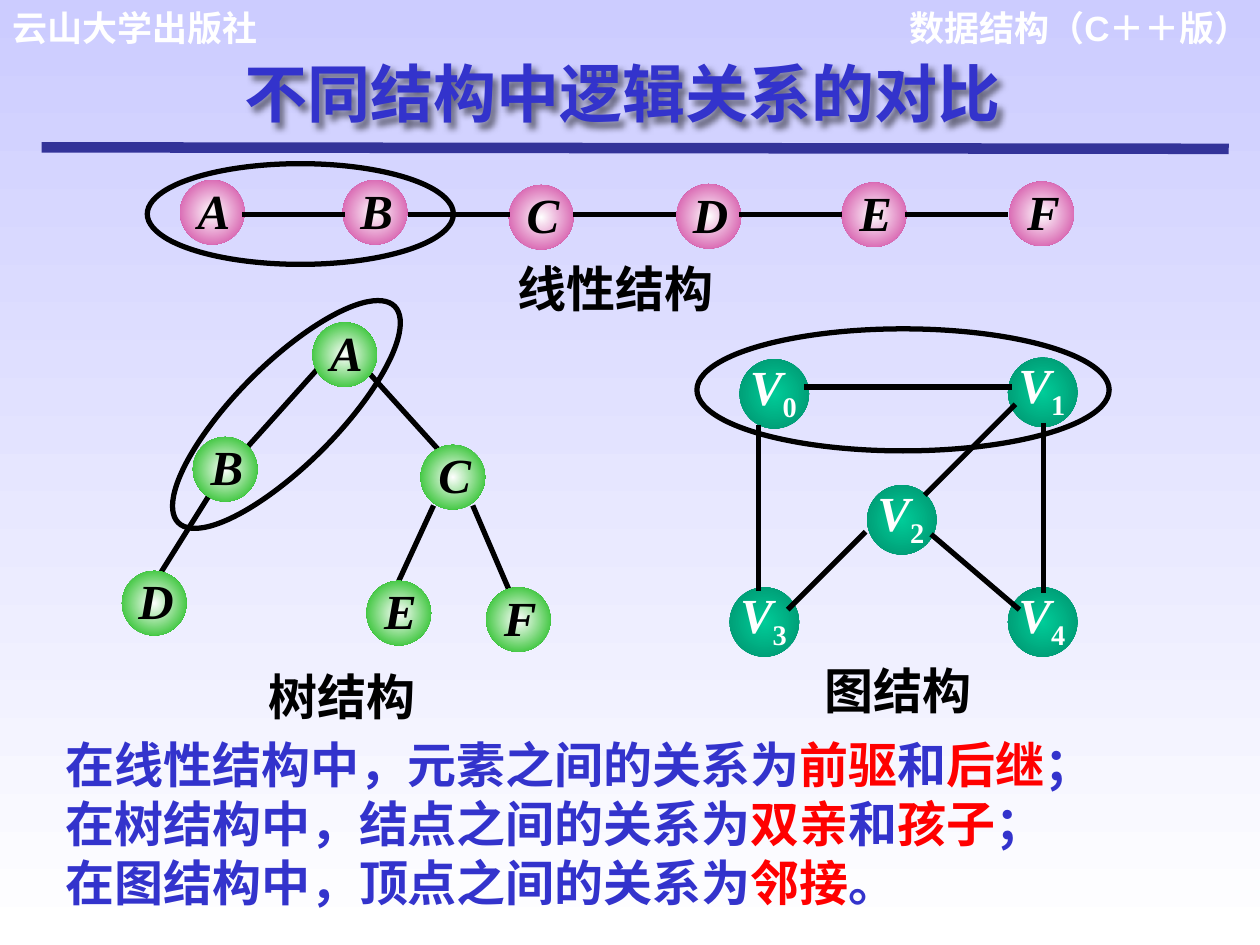
from lxml import etree
from pptx import Presentation
from pptx.dml.color import RGBColor
from pptx.enum import shapes, text
from pptx.oxml import parse_xml
from pptx.oxml import ns
from pptx.util import Cm, Pt

WHITE = RGBColor(0xFF, 0xFF, 0xFF)
BLACK = RGBColor(0, 0, 0)
BLUE = RGBColor(0x33, 0x33, 0xCC)
NAVY = RGBColor(0x33, 0x33, 0x99)
LAVENDER = RGBColor(0xCC, 0xCC, 0xFF)
RED = RGBColor(0xFF, 0, 0)
PINK = RGBColor(0xCC, 0x33, 0x99)
GREEN = RGBColor(0, 0xB4, 0)
TEAL = RGBColor(0, 0xCC, 0x99)
DARK_TEAL = RGBColor(0, 0x8F, 0x6B)
SERIF = "Times New Roman"
ALIGN = text.PP_ALIGN


def write(holder, words, size=28, font="Arial", color=BLACK, italic=False,
          align=ALIGN.LEFT, insets=(0.25, 0.13, 0.25, 0.13), accent=None):
    """Fill holder with one paragraph per line; *starred* parts take the
    accent colour, or become subscripts when there is none."""
    frame = holder.text_frame
    frame.word_wrap = True
    frame.auto_size = text.MSO_AUTO_SIZE.NONE
    frame.vertical_anchor = text.MSO_ANCHOR.TOP
    (frame.margin_left, frame.margin_top,
     frame.margin_right, frame.margin_bottom) = map(Cm, insets)
    for number, line in enumerate(words.split("\n")):
        paragraph = frame.add_paragraph() if number else frame.paragraphs[0]
        paragraph.alignment = align
        paragraph.space_before = Pt(0)
        for index, part in enumerate(line.split("*")):
            if not part:
                continue
            starred = index % 2 == 1
            run = paragraph.add_run()
            run.text = part
            run.font.size = Pt(size)
            run.font.name = font
            run.font.bold = True
            run.font.italic = italic and not starred
            run.font.color.rgb = accent if starred and accent else color
            if starred and not accent:
                run.font._element.set("baseline", "-25000")


def join(x1, y1, x2, y2, color=BLACK, width=3):
    """Draw a straight, shadowless line between two points in cm."""
    edge = slide.shapes.add_connector(
        shapes.MSO_CONNECTOR.STRAIGHT, Cm(x1), Cm(y1), Cm(x2), Cm(y2))
    edge.line.color.rgb = color
    edge.line.width = Pt(width)
    etree.SubElement(edge._element.spPr, ns.qn("a:effectLst"))


prs = Presentation()
prs.slide_width, prs.slide_height = Cm(25.4), Cm(19.05)
slide = prs.slides.add_slide(prs.slide_layouts[1])

backdrop = slide.background.fill
backdrop.gradient()
backdrop.gradient_angle = 270
for stop, color in zip(backdrop.gradient_stops, (LAVENDER, WHITE)):
    stop.color.rgb = color

# Title and summary
title, summary = slide.placeholders
title.left, title.top, title.width, title.height = map(Cm, (4.67, 0.97, 16.64, 1.78))
write(title, "不同结构中逻辑关系的对比", size=36, font=SERIF, color=BLUE)
title._element.spPr.append(parse_xml(
    f'<a:effectLst {ns.nsdecls("a")}><a:outerShdw blurRad="50800" dist="50800" '
    'dir="2700000"><a:srgbClr val="000000"><a:alpha val="50000"/></a:srgbClr>'
    '</a:outerShdw></a:effectLst>'))

summary.left, summary.top, summary.width, summary.height = map(Cm, (1.07, 14.68, 24.33, 3.81))
write(summary, "在线性结构中，元素之间的关系为*前驱*和*后继*；\n"
               "在树结构中，结点之间的关系为*双亲*和*孩子*；\n"
               "在图结构中，顶点之间的关系为*邻接*。", color=BLUE, accent=RED)
for paragraph in summary.text_frame.paragraphs:
    properties = paragraph._p.get_or_add_pPr()
    properties.set("marL", "0")
    properties.set("indent", "0")
    etree.SubElement(properties, ns.qn("a:buNone"))

# Header band and captions
join(0.84, 2.97, 24.77, 3.0, color=NAVY, width=6)
for words, x, y, w, h, style in (
    ("数据结构（C＋＋版）", 17.78, 0, 7.67, 1.09, dict(size=20, color=WHITE, align=ALIGN.RIGHT)),
    ("云山大学出版社", 0, 0, 6.88, 1.09, dict(size=20, color=WHITE)),
    ("线性结构", 8.89, 5.08, 7.04, 1.45, dict(align=ALIGN.CENTER)),
    ("树结构", 3.38, 13.31, 7.04, 1.45, dict(align=ALIGN.CENTER)),
    ("图结构", 15.11, 13.18, 5.99, 1.45, dict(align=ALIGN.CENTER)),
):
    write(slide.shapes.add_textbox(Cm(x), Cm(y), Cm(w), Cm(h)), words, **style)

# Tree edges lie under the nodes
for ends in (
    (6.4, 7.44, 4.98, 9.02), (7.44, 7.52, 8.86, 9.09), (4.22, 9.98, 3.25, 11.53),
    (8.74, 10.19, 8.03, 11.73), (9.53, 10.19, 10.26, 11.89),
):
    join(*ends)

# Nodes: centre colour, rim colour, diameter, label offset and size, label style, places
letter_style = dict(font=SERIF, italic=True, align=ALIGN.CENTER, insets=(0, 0.1, 0, 0))
vertex_style = dict(font=SERIF, italic=True, align=ALIGN.JUSTIFY, color=WHITE,
                    insets=(0.03, 0.08, 0, 0.03))
letter_box = (0.14, -0.1, 1.09, 1.7)
vertex_box = (0.18, -0.14, 1.3, 1.65)
structures = (
    (WHITE, PINK, 1.3, letter_box, letter_style, {
        "A": (3.63, 3.63), "B": (6.91, 3.63), "C": (10.26, 3.73),
        "D": (13.64, 3.71), "E": (16.97, 3.68), "F": (20.35, 3.66)}),
    (WHITE, GREEN, 1.3, letter_box, letter_style, {
        "A": (6.3, 6.5), "B": (3.89, 8.81), "C": (8.48, 8.97),
        "D": (2.46, 11.51), "E": (7.39, 11.71), "F": (9.8, 11.84)}),
    (TEAL, DARK_TEAL, 1.4, vertex_box, vertex_style, {
        "V*0*": (14.91, 7.24), "V*1*": (20.32, 7.21), "V*2*": (17.48, 9.78),
        "V*3*": (14.71, 11.84), "V*4*": (20.32, 11.84)}),
)
for centre, rim, diameter, (dx, dy, w, h), style, nodes in structures:
    for label, (x, y) in nodes.items():
        node = slide.shapes.add_shape(
            shapes.MSO_SHAPE.OVAL, Cm(x), Cm(y), Cm(diameter), Cm(diameter))
        node.shadow.inherit = False
        node.line.fill.background()
        node.fill.gradient()
        for stop, color in zip(node.fill.gradient_stops, (centre, rim)):
            stop.color.rgb = color
        gradient = node._element.spPr.find(ns.qn("a:gradFill"))
        gradient.replace(gradient.find(ns.qn("a:lin")), parse_xml(
            f'<a:path {ns.nsdecls("a")} path="circle">'
            '<a:fillToRect l="50000" t="50000" r="50000" b="50000"/></a:path>'))
        write(slide.shapes.add_textbox(Cm(x + dx), Cm(y + dy), Cm(w), Cm(h)), label, **style)

# Linear and graph edges lie over the nodes
for i in range(5):
    start = 4.88 + 3.34 * i
    join(start, 4.32, start + 2.07, 4.32)
for ends in (
    (16.21, 7.8, 20.4, 7.8), (17.45, 10.72, 15.88, 12.29), (21.03, 8.53, 21.03, 11.96),
    (20.47, 8.15, 18.64, 9.98), (18.77, 10.77, 20.55, 12.29), (15.29, 8.56, 15.29, 11.91),
):
    join(*ends)

# Rings around the related pairs
for x, y, w, h, angle in (
    (2.97, 3.3, 6.17, 2.03, 0), (2.69, 7.34, 6.17, 2.03, 315), (14.05, 6.63, 8.31, 2.46, 0),
):
    ring = slide.shapes.add_shape(shapes.MSO_SHAPE.OVAL, Cm(x), Cm(y), Cm(w), Cm(h))
    ring.rotation = angle
    ring.shadow.inherit = False
    ring.fill.background()
    ring.line.color.rgb = BLACK
    ring.line.width = Pt(3)

prs.save("out.pptx")
